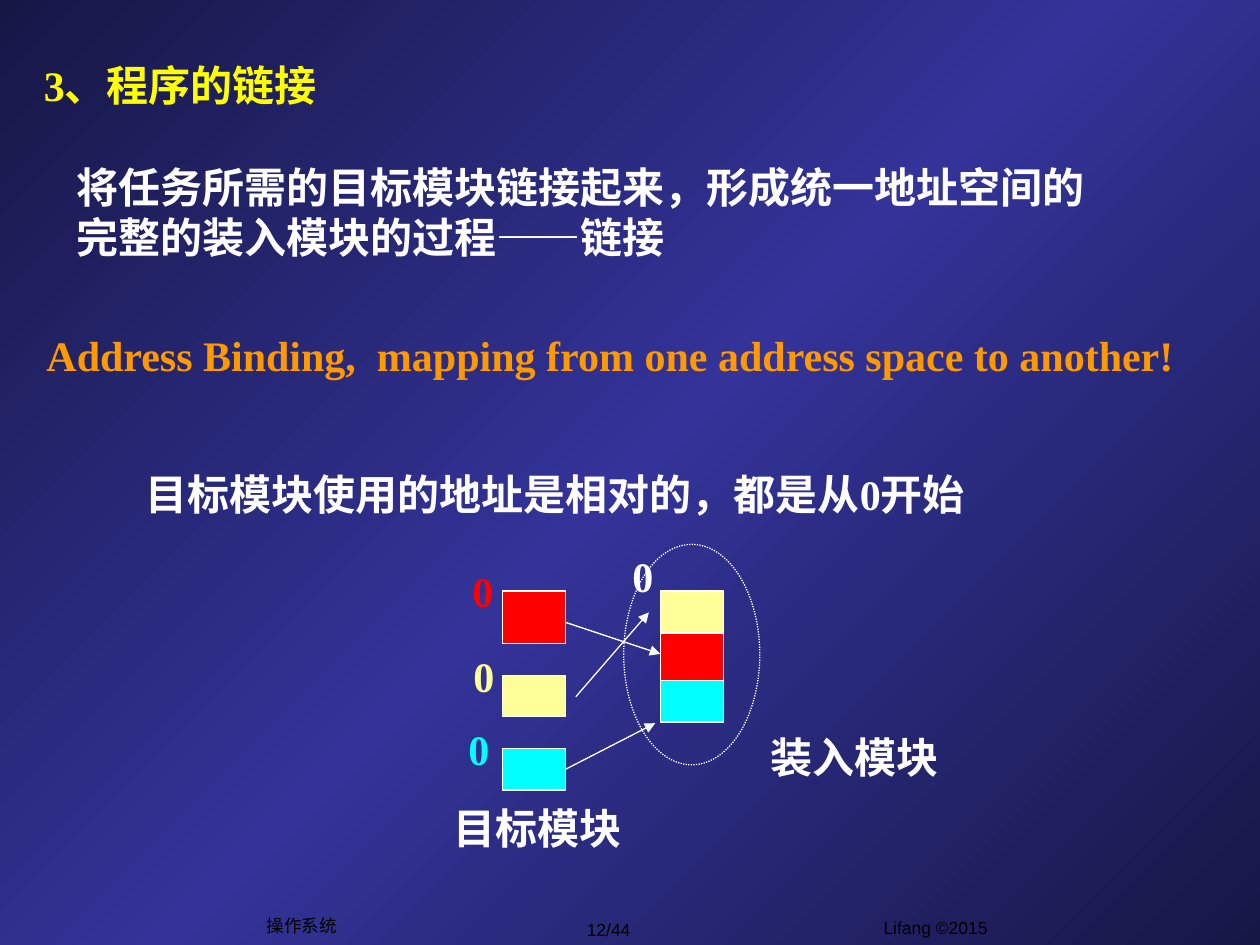
import copy

import pptx
import pptx.dml.color
import pptx.enum.dml
import pptx.enum.shapes
import pptx.enum.text
import pptx.oxml.ns
import pptx.oxml.xmlchemy
import pptx.util
from lxml import etree

RGB = pptx.dml.color.RGBColor
NAVY = RGB(0x17, 0x17, 0x46)
INDIGO = RGB(0x33, 0x33, 0x99)
WHITE = RGB(0xFF, 0xFF, 0xFF)
BLACK = RGB(0x00, 0x00, 0x00)
YELLOW = RGB(0xFF, 0xFF, 0x00)
ORANGE = RGB(0xFF, 0x99, 0x00)
RED = RGB(0xFF, 0x00, 0x00)
CREAM = RGB(0xFF, 0xFF, 0x99)
CYAN = RGB(0x00, 0xFF, 0xFF)

ANCHOR = pptx.enum.text.MSO_ANCHOR
ALIGN = pptx.enum.text.PP_ALIGN
SHAPE = pptx.enum.shapes.MSO_SHAPE
qn = pptx.oxml.ns.qn

presentation = pptx.Presentation()
presentation.slide_width = pptx.util.Inches(10)
presentation.slide_height = pptx.util.Inches(7.5)
slide = presentation.slides.add_slide(presentation.slide_layouts[6])

# Grid of 100 columns by 75 rows, with square cells
CELL = presentation.slide_width // 100


def grid(*cells):
    return [round(cell * CELL) for cell in cells]


def add_text(text, place, color, font, anchor=ANCHOR.TOP, align=ALIGN.LEFT, wrap=True):
    frame = slide.shapes.add_textbox(*grid(*place)).text_frame
    frame.word_wrap = wrap
    frame.vertical_anchor = anchor
    paragraph = frame.paragraphs[0]
    paragraph.alignment = align
    run = paragraph.add_run()
    run.text = text
    for attribute, value in font.items():
        setattr(run.font, attribute, value)
    run.font.color.rgb = color


BODY = {"name": "Times New Roman", "size": pptx.util.Pt(24), "bold": True}
FOOTER = {"name": "Arial", "size": pptx.util.Pt(10)}
THIN = pptx.util.Pt(0.75)

# Background: dark corners, lighter diagonal
background = slide.background.fill
background.gradient()
background.gradient_angle = 315
stop_list = slide.element.find(".//" + qn("a:gsLst"))
stop_list.insert(1, copy.deepcopy(stop_list[0]))
for stop, position, color in zip(
    background.gradient_stops, (0, 0.5, 1), (NAVY, INDIGO, NAVY)
):
    stop.position = position
    stop.color.rgb = color

# Footer
add_text("Lifang ©2015", (58.4, 72.3, 31.7, 3.5), BLACK, FOOTER, align=ALIGN.CENTER)
for text, place in (
    ("12/44", (43.2, 72.4, 10.2, 2.7)),
    ("操作系统", (20.2, 72.1, 7.5, 2.7)),
):
    add_text(text, place, BLACK, FOOTER, ANCHOR.MIDDLE, ALIGN.CENTER, wrap=False)

# Heading and statements
add_text("3、程序的链接", (2.5, 4.2, 76.6, 5), YELLOW, BODY, ANCHOR.MIDDLE)
for text, place, color in (
    (
        "将任务所需的目标模块链接起来，形成统一地址空间的完整的装入模块的过程——链接",
        (5.1, 12.3, 85, 9),
        WHITE,
    ),
    (
        "Address Binding,  mapping from one address space to another!",
        (2.7, 25.7, 92.5, 5),
        ORANGE,
    ),
    ("目标模块使用的地址是相对的，都是从0开始", (10.6, 36.7, 71, 5), WHITE),
):
    add_text(text, place, color, BODY)

# Object modules on the left, load module stacked on the right
OBJECT_LEFT, LOAD_LEFT, MODULE_WIDTH = 39.9, 52.4, 5
modules = []
for left, top, height, color in (
    (OBJECT_LEFT, 46.9, 4.2, RED),
    (OBJECT_LEFT, 53.6, 3.3, CREAM),
    (OBJECT_LEFT, 59.4, 3.3, CYAN),
    (LOAD_LEFT, 50.3, 4.2, RED),
    (LOAD_LEFT, 46.9, 3.3, CREAM),
    (LOAD_LEFT, 54, 3.3, CYAN),
):
    module = slide.shapes.add_shape(
        SHAPE.RECTANGLE, *grid(left, top, MODULE_WIDTH, height)
    )
    module.shadow.inherit = False
    module.fill.solid()
    module.fill.fore_color.rgb = color
    module.line.color.rgb = WHITE
    module.line.width = THIN
    modules.append(module)

# Arrows from each object module to its place in the load module
arrows = []
for ends in (
    (44.9, 49.4, 52.4, 51.9),
    (45.7, 55.3, 51.5, 48.6),
    (44.9, 61.1, 52, 57.4),
):
    arrow = slide.shapes.add_connector(
        pptx.enum.shapes.MSO_CONNECTOR.STRAIGHT, *grid(*ends)
    )
    arrow.line.color.rgb = WHITE
    arrow.line.width = THIN
    etree.SubElement(arrow.line._get_or_add_ln(), qn("a:tailEnd"), type="triangle")
    etree.SubElement(arrow.element.spPr, qn("a:effectLst"))
    arrows.append(arrow)
arrows[2].begin_connect(modules[2], 3)

# Start addresses
for left, top, color in (
    (49.2, 43.2, WHITE),
    (36.5, 44.4, RED),
    (36.6, 51.1, CREAM),
    (36.2, 56.9, CYAN),
):
    add_text("0", (left, top, 3.6, 5), color, BODY, wrap=False)

# Dotted outline around the load module
outline = slide.shapes.add_shape(SHAPE.OVAL, *grid(49.5, 43.2, 10.8, 17.5))
outline.shadow.inherit = False
outline.fill.background()
outline.line.color.rgb = WHITE
outline.line.width = THIN
outline.line.dash_style = pptx.enum.dml.MSO_LINE.ROUND_DOT

# Captions
add_text("装入模块", (60.2, 57.6, 16.6, 5), WHITE, BODY)
add_text("目标模块", (35, 63.2, 35.1, 5), WHITE, BODY)

presentation.save("out.pptx")
